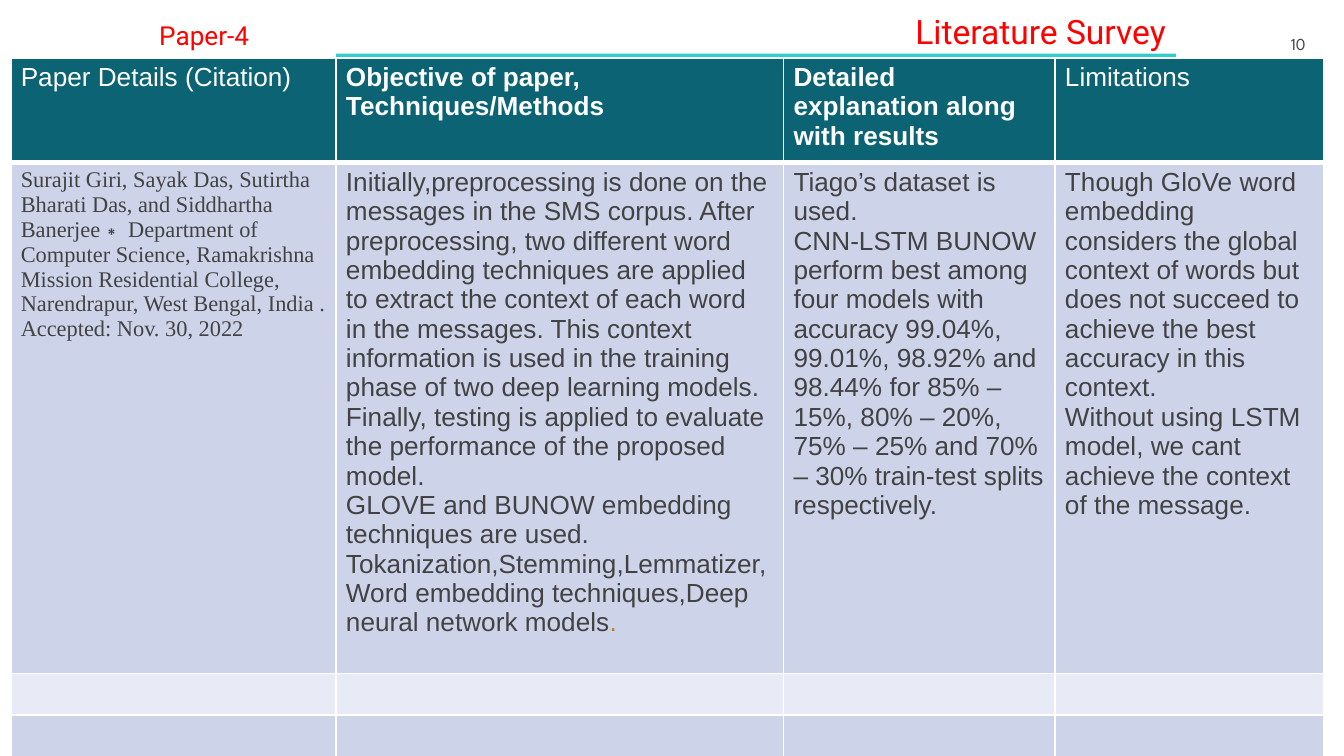
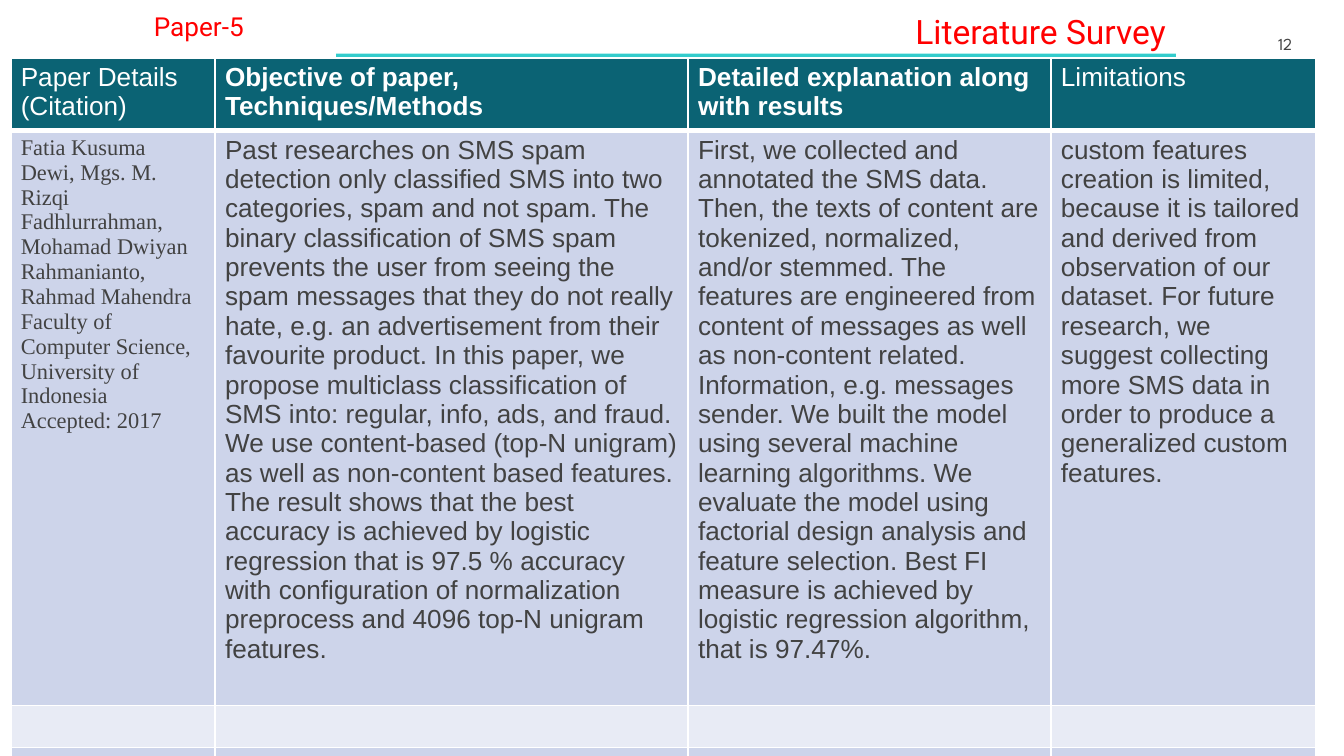
"""Build two literature survey slides, each with a paper summary table."""
from lxml import etree
from pptx import Presentation
from pptx.dml.color import RGBColor
from pptx.enum.shapes import MSO_SHAPE as SHAPE
from pptx.enum.text import MSO_ANCHOR as ANCHOR, MSO_AUTO_SIZE as FIT, PP_ALIGN as ALIGN
from pptx.oxml.ns import qn
from pptx.util import Inches, Pt

WHITE = RGBColor(0xFF, 0xFF, 0xFF)
RED = RGBColor(0xFF, 0x00, 0x00)
GREY = RGBColor(0x42, 0x42, 0x42)
GOLD = RGBColor(0xC0, 0x79, 0x1B)
AQUA = RGBColor(0x33, 0xCC, 0xCC)
TEAL = RGBColor(0x0B, 0x63, 0x74)
BANDS = (RGBColor(0xE8, 0xEB, 0xF5), RGBColor(0xCD, 0xD4, 0xEA))

TITLE = "Literature Survey"
HEADERS = [
    ("Paper Details (Citation)", False),
    ("Objective of paper, Techniques/Methods", True),
    ("Detailed explanation along with results", True),
    ("Limitations", False),
]
EMPTY_ROWS = 3
EMPTY_HEIGHT = 0.31

PAPERS = [
    {
        "label": "Paper-4", "label_box": (0.19, 0.11, 1.74, 0.31),
        "number": "10", "number_left": 9.19,
        "cols": (2.42, 3.33, 2.02, 2), "rows": (0.78, 3.8),
        "cells": [
            ["Surajit Giri, Sayak Das, Sutirtha Bharati Das, and Siddhartha Banerjee∗ "
             "Department of Computer Science, Ramakrishna Mission Residential College, "
             "Narendrapur, West Bengal, India .",
             "Accepted: Nov. 30, 2022"],
            ["Initially,preprocessing is done on the messages in the SMS corpus. After "
             "preprocessing, two different word embedding techniques are applied to extract "
             "the context of each word in the messages. This context information is used in "
             "the training phase of two deep learning models. Finally, testing is applied to "
             "evaluate the performance of the proposed model.",
             "GLOVE and BUNOW embedding techniques are used.",
             "Tokanization,Stemming,Lemmatizer,Word embedding techniques,Deep neural "
             "network models"],
            ["Tiago’s dataset is used.",
             "CNN-LSTM BUNOW perform best among four models with accuracy 99.04%, 99.01%, "
             "98.92% and 98.44% for 85% – 15%, 80% – 20%, 75% – 25% and 70% – 30% "
             "train-test splits respectively."],
            ["Though GloVe word embedding considers the global context of words but does "
             "not succeed to achieve the best accuracy in this context.",
             "Without using LSTM model, we cant achieve the context of the message."],
        ],
        "gold_stop": 1,
    },
    {
        "label": "Paper-5", "label_box": (0.2, 0.04, 1.69, 0.31),
        "number": "12", "number_left": 9.09,
        "cols": (1.52, 3.52, 2.7, 1.97), "rows": (0.54, 4.28),
        "cells": [
            ["Fatia Kusuma Dewi, Mgs. M. Rizqi Fadhlurrahman, Mohamad Dwiyan Rahmanianto, "
             "Rahmad Mahendra Faculty of Computer Science, University of Indonesia",
             "Accepted: 2017"],
            ["Past researches on SMS spam detection only classified SMS into two categories, "
             "spam and not spam. The binary classification of SMS spam prevents the user from "
             "seeing the spam messages that they do not really hate, e.g. an advertisement "
             "from their favourite product. In this paper, we propose multiclass "
             "classification of SMS into: regular, info, ads, and fraud. We use content-based "
             "(top-N unigram) as well as non-content based features. The result shows that "
             "the best accuracy is achieved by logistic regression that is 97.5 % accuracy "
             "with configuration of normalization preprocess and 4096 top-N unigram features."],
            ["First, we collected and annotated the SMS data. Then, the texts of content are "
             "tokenized, normalized, and/or stemmed. The features are engineered from content "
             "of messages as well as non-content related. Information, e.g. messages sender. "
             "We built the model using several machine learning algorithms. We evaluate the "
             "model using factorial design analysis and feature selection. Best FI measure is "
             "achieved by logistic regression algorithm, that is 97.47%."],
            ["custom features creation is limited, because it is tailored and derived from "
             "observation of our dataset. For future research, we suggest collecting more SMS "
             "data in order to produce a generalized custom features."],
        ],
        "gold_stop": None,
    },
]


def inches(*values):
    return [Inches(v) for v in values]


def set_font(run, size, name, color, bold=False):
    font = run.font
    font.size, font.name, font.bold = Pt(size), name, bold
    font.color.rgb = color


def set_margins(item):
    item.margin_left = item.margin_right = Pt(5.4)
    item.margin_top = item.margin_bottom = Pt(2.7)


def write_line(sp, text, box, size, name, color, anchor=ANCHOR.TOP):
    sp.left, sp.top, sp.width, sp.height = inches(*box)
    tf = sp.text_frame
    tf.text = text
    tf.word_wrap, tf.auto_size, tf.vertical_anchor = True, FIT.NONE, anchor
    set_margins(tf)
    p = tf.paragraphs[0]
    p.alignment = ALIGN.RIGHT
    set_font(p.runs[0], size, name, color)


def add_line(s, text, box, *style):
    write_line(s.shapes.add_textbox(*inches(*box)), text, box, *style)


def add_borders(cell, top, bottom):
    tcPr = cell._tc.get_or_add_tcPr()
    for side, width in (("L", 1), ("R", 1), ("T", top), ("B", bottom)):
        ln = etree.SubElement(tcPr, qn("a:ln" + side), w=str(Pt(width)))
        fill = etree.SubElement(ln, qn("a:solidFill"))
        etree.SubElement(fill, qn("a:srgbClr"), val=str(WHITE))


def write_cell(cell, paragraphs, size, name, color, bold=False):
    tf = cell.text_frame
    tf.text = "\n".join(paragraphs)
    for p in tf.paragraphs:
        for r in p.runs:
            set_font(r, size, name, color, bold)


def add_summary_table(s, paper):
    heights = [*paper["rows"], *[EMPTY_HEIGHT] * EMPTY_ROWS]
    widths = paper["cols"]
    box = inches(0.08, 0.43, sum(widths), sum(heights))
    table = s.shapes.add_table(len(heights), len(widths), *box).table
    for col, width in zip(table.columns, widths):
        col.width = Inches(width)
    for i, height in enumerate(heights):
        table.rows[i].height = Inches(height)
        for cell in table.rows[i].cells:
            set_margins(cell)
            add_borders(cell, 3 if i == 1 else 1, 3 if i == 0 else 1)
            cell.fill.solid()
            cell.fill.fore_color.rgb = BANDS[i % 2] if i else TEAL
            if i > 1:
                p = cell.text_frame.paragraphs[0]
                etree.SubElement(p._p, qn("a:endParaRPr"), sz="1400")
    for j, (text, bold) in enumerate(HEADERS):
        write_cell(table.cell(0, j), [text], 14, "Arial", WHITE, bold)
        style = (14, "Arial") if j else (12, "Times New Roman")
        write_cell(table.cell(1, j), paper["cells"][j], *style, GREY)
    if paper["gold_stop"] is not None:
        r = table.cell(1, paper["gold_stop"]).text_frame.paragraphs[-1].add_run()
        r.text = "."
        set_font(r, 14, "Arial", GOLD)


def add_paper(prs, paper):
    s = prs.slides.add_slide(prs.slide_layouts[5])
    rule = s.shapes.add_shape(SHAPE.RECTANGLE, *inches(2.5, 0.4, 6.25, 0.03))
    rule.shadow.inherit = False
    rule.fill.solid()
    rule.fill.fore_color.rgb = AQUA
    rule.line.fill.background()
    write_line(s.shapes.title, TITLE, (3.44, 0.04, 5.31, 0.38), 18, "Roboto", RED)
    add_summary_table(s, paper)
    add_line(s, paper["label"], paper["label_box"], 14, "Roboto", RED)
    add_line(s, paper["number"], (paper["number_left"], 0.11, 0.6, 0.43),
             9, "League Spartan", GREY, ANCHOR.MIDDLE)


def main():
    prs = Presentation()
    prs.slide_width = Inches(10)
    prs.slide_height = prs.slide_width * 9 // 16
    for paper in PAPERS:
        add_paper(prs, paper)
    prs.save("out.pptx")


if __name__ == "__main__":
    main()
